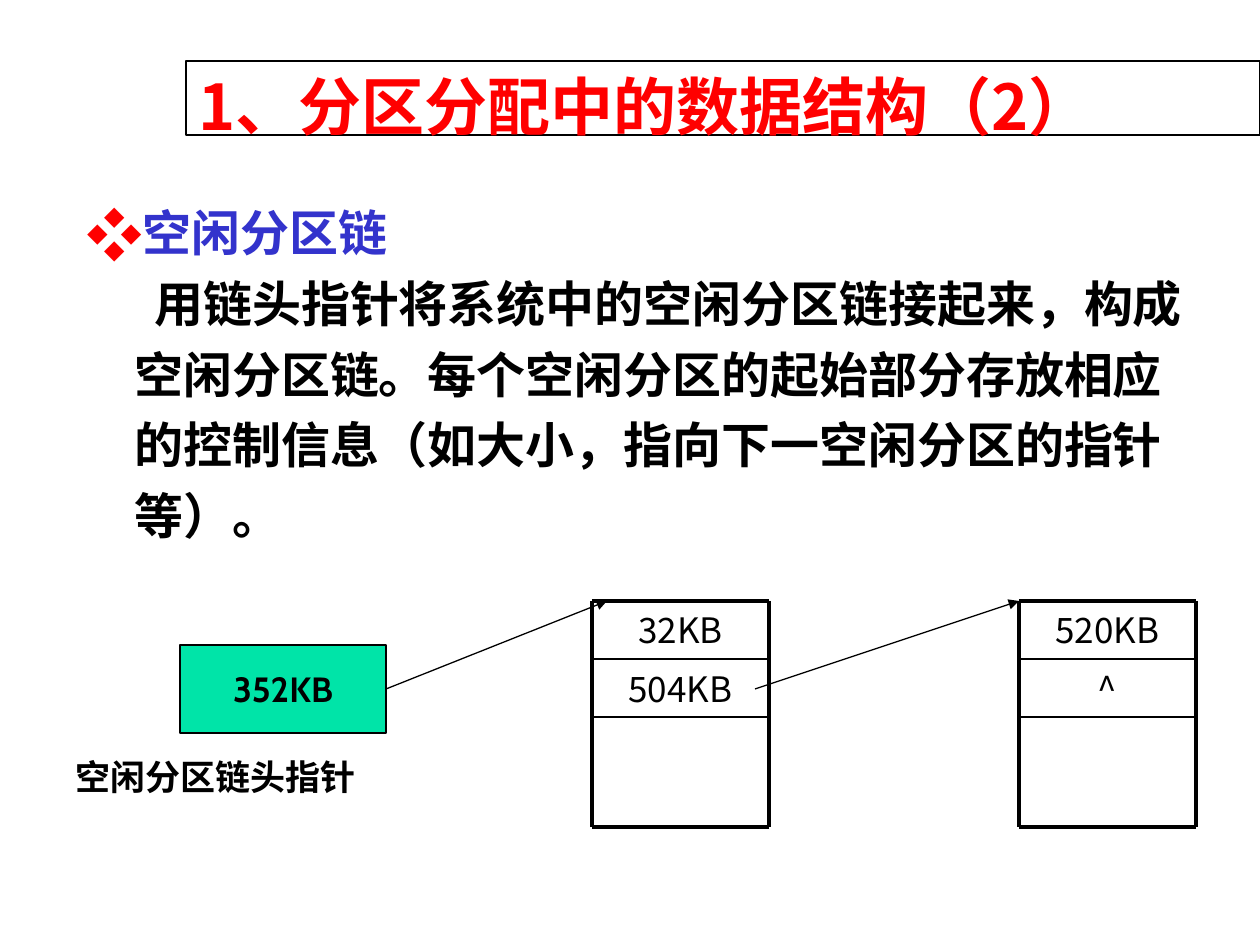
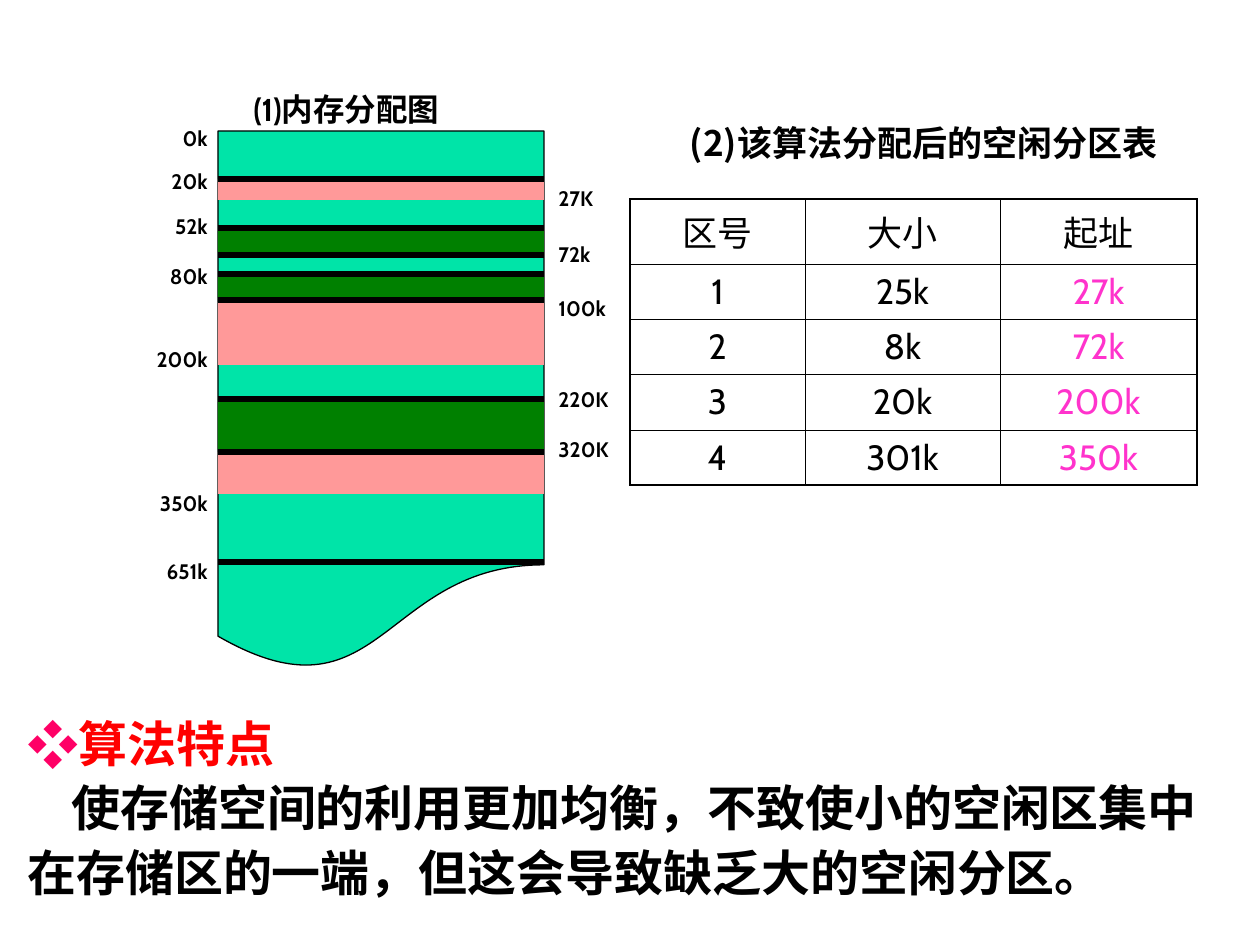
from lxml.etree import SubElement
from pptx import Presentation
from pptx.dml.color import RGBColor
from pptx.enum.shapes import MSO_CONNECTOR, MSO_SHAPE as SHAPE
from pptx.enum.text import MSO_ANCHOR as ANCHOR, PP_ALIGN as ALIGN
from pptx.oxml.ns import qn
from pptx.util import Emu, Pt

PX = 914400 / 126
PT_PER_PX = 72 / 126

COLORS = {
    "black": "000000", "white": "FFFFFF", "red": "FF0000", "blue": "3333CC",
    "mint": "00E4A8", "pink": "FF9999", "green": "008000",
    "rose": "FF0066", "magenta": "FF33CC",
}
CJK, LATIN = "Noto Sans CJK SC", "Cabin"
HEADING = {"size": 28, "font": CJK, "bold": True}
CAPTION = {"size": 20, "bold": True}

# Slide 1: free-partition chain
TITLE = "1、分区分配中的数据结构（2）"
CHAIN_HEADING = "空闲分区链"
CHAIN_TEXT = ("用链头指针将系统中的空闲分区链接起来，构成空闲分区链。"
              "每个空闲分区的起始部分存放相应的控制信息"
              "（如大小，指向下一空闲分区的指针等）。")
HEAD_VALUE, HEAD_LABEL = "352KB", "空闲分区链头指针"
BLOCK_TOP, BLOCK_BOTTOM, BLOCK_WIDTH, FIELD_HEIGHT = 601, 827, 177, 58
BLOCKS = [(592, ["32KB", "504KB"]), (1019, ["520KB", "^"])]

# Slide 2: memory map and free-partition table
MAP_TITLE = "(1)内存分配图"
TABLE_TITLE = "(2)该算法分配后的空闲分区表"
FREE_TABLE = [
    ("区号", "大小", "起址"),
    ("1", "25k", "27k"),
    ("2", "8k", "72k"),
    ("3", "20k", "200k"),
    ("4", "301k", "350k"),
]
COL_WIDTHS, ROW_HEIGHTS = (175, 195, 197), (65, 55, 55, 55, 55)
MAP_LEFT, MAP_TOP, MAP_WIDTH, MAP_HEIGHT = 218, 131, 326, 541
BANDS = [  # top, height, colour
    (179, 21, "pink"), (231, 21, "green"), (277, 21, "green"),
    (302, 63, "pink"), (399, 51, "green"), (452, 42, "pink"),
]
DIVIDERS = [179, 228, 255, 274, 300, 399, 452, 562]
START_LABELS = [("0k", 138), ("20k", 181), ("52k", 226), ("80k", 276),
                ("200k", 359), ("350k", 503), ("651k", 571)]
END_LABELS = [("27K", 198), ("72k", 254), ("100k", 308),
              ("220K", 399), ("320K", 449)]
FEATURE_HEADING = "算法特点"
FEATURE_TEXT = ("使存储空间的利用更加均衡，不致使小的空闲区集中在存储区的一端，"
                "但这会导致缺乏大的空闲分区。")


def px(*values):
    return [Emu(round(v * PX)) for v in values]


def rgb(name):
    return RGBColor.from_string(COLORS[name])


def add_bullet(p, color, percent):
    pPr = p._p.get_or_add_pPr()
    SubElement(SubElement(pPr, qn("a:buClr")), qn("a:srgbClr"), val=COLORS[color])
    SubElement(pPr, qn("a:buSzPct"), val=str(percent * 1000))
    SubElement(pPr, qn("a:buFont"), typeface=CJK)
    SubElement(pPr, qn("a:buChar"), char="❖")


def write(p, text, size=20, font=LATIN, color="black", bold=False,
          margin=0, indent=0, bullet=None, **layout):
    """Fill a paragraph; layout holds alignment, line_spacing, space_before."""
    if bullet:
        add_bullet(p, *bullet)
    pPr = p._p.get_or_add_pPr()
    for name, length in (("marL", margin), ("indent", indent)):
        pPr.set(name, str(px(length)[0]))
    for name, value in layout.items():
        setattr(p, name, value)
    r = p.add_run()
    r.text = text
    for name, value in {"size": Pt(size), "name": font, "bold": bold}.items():
        setattr(r.font, name, value)
    r.font.color.rgb = rgb(color)
    SubElement(r._r.get_or_add_rPr(), qn("a:ea"), typeface=CJK)


def add_text(s, box, paragraphs, anchor=ANCHOR.MIDDLE):
    """Add a text box of (text, format) paragraphs."""
    tf = s.shapes.add_textbox(*px(*box)).text_frame
    tf.word_wrap = True
    tf.vertical_anchor = anchor
    for i, (text, fmt) in enumerate(paragraphs):
        write(tf.add_paragraph() if i else tf.paragraphs[0], text, **fmt)


def add_shape(s, kind, box, fill, outlined=False):
    sp = s.shapes.add_shape(kind, *px(*box))
    sp.shadow.inherit = False
    sp.fill.solid()
    sp.fill.fore_color.rgb = rgb(fill)
    if outlined:
        sp.line.color.rgb = rgb("black")
        sp.line.width = Pt(0.75)
    else:
        sp.line.fill.background()
    return sp


def add_line(s, x1, y1, x2, y2, width, arrow=False):
    line = s.shapes.add_connector(MSO_CONNECTOR.STRAIGHT, *px(x1, y1, x2, y2))
    line.line.color.rgb = rgb("black")
    line.line.width = Pt(width)
    if arrow:
        SubElement(line.line._get_or_add_ln(), qn("a:tailEnd"), type="triangle")
    SubElement(line._element.spPr, qn("a:effectLst"))
    return line


def add_block(s, left, fields):
    right = left + BLOCK_WIDTH
    for i, text in enumerate(fields):
        top = BLOCK_TOP + i * FIELD_HEIGHT
        add_text(s, (left, top, BLOCK_WIDTH, FIELD_HEIGHT),
                 [(text, {"font": CJK, "alignment": ALIGN.CENTER})])
        bottom = top + FIELD_HEIGHT
        add_line(s, left, bottom, right, bottom, 1)
    for y in (BLOCK_TOP, BLOCK_BOTTOM):
        add_line(s, left, y, right, y, 2.25)
    for x in (left, right):
        add_line(s, x, BLOCK_TOP, x, BLOCK_BOTTOM, 2.25)


def add_addresses(s, left, width, labels, alignment):
    """One text box whose paragraph gaps put each label at its centre height."""
    line_pt = 14
    paragraphs, previous = [], None
    for text, y in labels:
        gap = 0 if previous is None else (y - previous) * PT_PER_PX - line_pt
        paragraphs.append((text, {
            "size": 12, "bold": True, "alignment": alignment,
            "line_spacing": Pt(line_pt), "space_before": Pt(gap)}))
        previous = y
    top = labels[0][1] - 18
    add_text(s, (left, top, width, previous - top + 18), paragraphs, ANCHOR.TOP)


def set_borders(cell, widths):
    tcPr = cell._tc.get_or_add_tcPr()
    for side, width in zip("LRTB", widths):
        ln = SubElement(tcPr, qn(f"a:ln{side}"), w=str(Pt(width)))
        SubElement(SubElement(ln, qn("a:solidFill")), qn("a:srgbClr"),
                   val=COLORS["black"])


def add_free_table(s, left, top):
    rows, cols = len(FREE_TABLE), len(COL_WIDTHS)
    table = s.shapes.add_table(
        rows, cols, *px(left, top, sum(COL_WIDTHS), sum(ROW_HEIGHTS))).table
    table.first_row = table.horz_banding = False
    for column, width in zip(table.columns, px(*COL_WIDTHS)):
        column.width = width
    for row, height in zip(table.rows, px(*ROW_HEIGHTS)):
        row.height = height
    for i, values in enumerate(FREE_TABLE):
        for j, text in enumerate(values):
            cell = table.cell(i, j)
            cell.vertical_anchor = ANCHOR.MIDDLE
            outer = (j == 0, j == cols - 1, i == 0, i == rows - 1)
            set_borders(cell, [1.08 if edge else 0.45 for edge in outer])
            cell.fill.background()
            is_address = i > 0 and j == cols - 1
            write(cell.text_frame.paragraphs[0], text, alignment=ALIGN.CENTER,
                  color="magenta" if is_address else "black")


def build_chain_slide(s):
    title = add_shape(s, SHAPE.RECTANGLE, (186, 61, 1074, 74), "white", True)
    title.text_frame.vertical_anchor = ANCHOR.TOP
    title.text_frame.word_wrap = True
    write(title.text_frame.paragraphs[0], TITLE, size=36, font=CJK, color="red",
          bold=True, alignment=ALIGN.LEFT)
    add_text(s, (74, 185, 1121, 397), [
        (CHAIN_HEADING, {**HEADING, "color": "blue", "margin": 48, "indent": -48,
                         "bullet": ("red", 115), "line_spacing": 1.2}),
        (CHAIN_TEXT, {**HEADING, "margin": 48, "indent": 20, "line_spacing": 1.2}),
    ], ANCHOR.TOP)
    head = add_shape(s, SHAPE.RECTANGLE, (180, 645, 206, 88), "mint", True)
    head.text_frame.vertical_anchor = ANCHOR.MIDDLE
    write(head.text_frame.paragraphs[0], HEAD_VALUE, alignment=ALIGN.CENTER,
          **CAPTION)
    for left, fields in BLOCKS:
        add_block(s, left, fields)
    pointer_y = BLOCK_TOP + FIELD_HEIGHT * 3 // 2 + 1
    first, second = (left for left, _ in BLOCKS)
    link = add_line(s, 386, pointer_y, first + 15, BLOCK_TOP, 0.75, True)
    link.begin_connect(head, 3)
    add_line(s, first + BLOCK_WIDTH - 14, pointer_y, second, BLOCK_TOP, 0.75, True)
    add_text(s, (63, 749, 353, 55), [(HEAD_LABEL, CAPTION)])


def build_memory_slide(s):
    add_free_table(s, 630, 199)
    add_text(s, (609, 115, 630, 55),
             [(TABLE_TITLE, {**CAPTION, "font": CJK, "alignment": ALIGN.CENTER})])
    add_text(s, (15, 701, 1226, 207), [
        (FEATURE_HEADING, {**HEADING, "color": "red", "margin": 46, "indent": -46,
                           "bullet": ("rose", 105), "line_spacing": 1.1}),
        (FEATURE_TEXT, {**HEADING, "indent": 44, "line_spacing": 1.1}),
    ], ANCHOR.TOP)
    add_shape(s, SHAPE.FLOWCHART_DOCUMENT,
              (MAP_LEFT, MAP_TOP, MAP_WIDTH, MAP_HEIGHT), "mint", True)
    for top, height, color in BANDS:
        add_shape(s, SHAPE.RECTANGLE, (MAP_LEFT, top, MAP_WIDTH, height), color)
    for y in DIVIDERS:
        add_line(s, MAP_LEFT, y, MAP_LEFT + MAP_WIDTH, y, 3)
    add_text(s, (241, 84, 280, 50), [(MAP_TITLE, {**CAPTION, "size": 18})])
    add_addresses(s, 84, 136, START_LABELS, ALIGN.RIGHT)
    add_addresses(s, 546, 103, END_LABELS, ALIGN.LEFT)


def main():
    prs = Presentation()
    prs.slide_width, prs.slide_height = px(1260, 945)
    for build in (build_chain_slide, build_memory_slide):
        build(prs.slides.add_slide(prs.slide_layouts[6]))
    prs.save("out.pptx")


if __name__ == "__main__":
    main()
